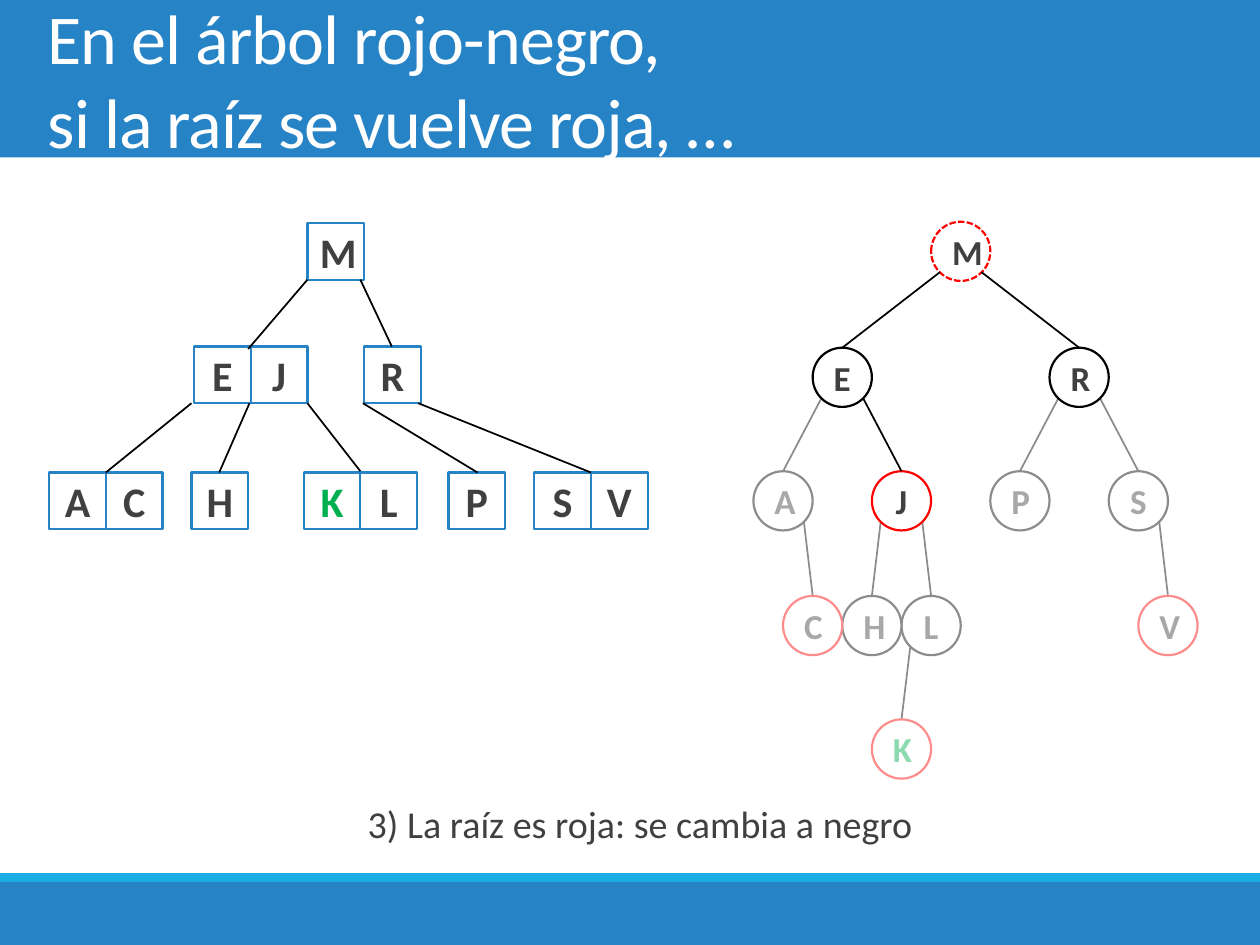
from lxml.etree import SubElement
from pptx import Presentation
from pptx.dml.color import RGBColor
from pptx.enum.dml import MSO_LINE
from pptx.enum.shapes import MSO_CONNECTOR, MSO_SHAPE
from pptx.enum.text import MSO_ANCHOR, PP_ALIGN
from pptx.oxml.ns import qn
from pptx.util import Inches, Pt

BLUE = RGBColor(0x26, 0x83, 0xC6)
CYAN = RGBColor(0x1C, 0xAD, 0xE4)
WHITE = RGBColor(0xFF, 0xFF, 0xFF)
BLACK = RGBColor(0x00, 0x00, 0x00)
GRAY = RGBColor(0x40, 0x40, 0x40)
RED = RGBColor(0xFF, 0x00, 0x00)
GREEN = RGBColor(0x00, 0xB0, 0x50)

SIDE = 0.45
DIAM = 0.47
LEFT = 5.98
ROWS = [1.76, 2.76, 3.74, 4.73, 5.71]

# Keys of each box node: left, top
BOXES = {
    "M": (2.44, 1.77),
    "EJ": (1.54, 2.75), "R": (2.89, 2.75),
    "AC": (0.39, 3.75), "H": (1.52, 3.75), "KL": (2.41, 3.75),
    "P": (3.56, 3.75), "SV": (4.24, 3.75),
}
LINKS = [
    (2.44, 2.22, 1.97, 2.77), (2.86, 2.22, 3.11, 2.75),
    (1.52, 3.2, 0.84, 3.75), (1.98, 3.2, 1.74, 3.75),
    (2.44, 3.2, 2.86, 3.74), (2.88, 3.2, 3.79, 3.75),
    (3.32, 3.2, 4.69, 3.75),
]

# Round nodes: column in half diameters, row, outline
NODES = {
    "M": (6, 0, RED), "E": (2, 1, BLACK), "R": (10, 1, BLACK),
    "A": (0, 2, BLACK), "J": (4, 2, RED), "P": (8, 2, BLACK),
    "S": (12, 2, BLACK), "C": (1, 3, RED), "H": (3, 3, BLACK),
    "L": (5, 3, BLACK), "V": (13, 3, RED), "K": (4, 4, RED),
}
FADED = ["EA", "AC", "JH", "JL", "LK", "RP", "RS", "SV"]
VIVID = ["ME", "MR", "EJ"]


class Deck:
    def __init__(self):
        self.show = Presentation()
        self.show.slide_width = Inches(10)
        self.show.slide_height = Inches(7.5)
        self.slide = self.show.slides.add_slide(self.show.slide_layouts[6])
        self.font = "Calibri"

    def shape(self, kind, x, y, w, h, fill, line=None):
        item = self.slide.shapes.add_shape(
            kind, Inches(x), Inches(y), Inches(w), Inches(h))
        item.shadow.inherit = False
        item.fill.solid()
        item.fill.fore_color.rgb = fill
        if line is None:
            item.line.fill.background()
        else:
            item.line.color.rgb = line
            item.line.width = Pt(1.25)
        return item

    def rect(self, x, y, w, h, fill):
        return self.shape(MSO_SHAPE.RECTANGLE, x, y, w, h, fill)

    def veil(self, x, y, w, h, alpha):
        """Cover an area with white of the given opacity in percent."""
        item = self.rect(x, y, w, h, WHITE)
        tint = item.fill._xPr.find(qn("a:solidFill"))[0]
        SubElement(tint, qn("a:alpha"), val=str(alpha * 1000))

    def run(self, para, text, size, color, bold=False):
        run = para.add_run()
        run.text = text
        run.font.name = self.font
        run.font.size = Pt(size)
        run.font.bold = bold
        run.font.color.rgb = color
        return run

    def label(self, item, key, size):
        frame = item.text_frame
        frame.vertical_anchor = MSO_ANCHOR.MIDDLE
        para = frame.paragraphs[0]
        para.alignment = PP_ALIGN.CENTER
        self.run(para, key, size, GREEN if key == "K" else GRAY, True)

    def box(self, key, x, y):
        item = self.shape(MSO_SHAPE.RECTANGLE, x, y, SIDE, SIDE, WHITE, BLUE)
        self.label(item, key, 24)

    def node(self, key):
        col, row, line = NODES[key]
        item = self.shape(MSO_SHAPE.OVAL, LEFT + col * DIAM / 2, ROWS[row],
                          DIAM, DIAM, WHITE, line)
        if key == "M":
            item.line.dash_style = MSO_LINE.SQUARE_DOT
        self.label(item, key, 20)

    def line(self, x1, y1, x2, y2):
        item = self.slide.shapes.add_connector(
            MSO_CONNECTOR.STRAIGHT,
            Inches(x1), Inches(y1), Inches(x2), Inches(y2))
        item.line.color.rgb = BLACK
        item.line.width = Pt(1)
        SubElement(item._element.spPr, qn("a:effectLst"))

    def edge(self, top, low):
        """Join the lower rim of one round node to the top of another."""
        col, row, _ = NODES[top]
        end, deep, _ = NODES[low]
        rim = 0.07 if end < col else DIAM - 0.07
        self.line(LEFT + col * DIAM / 2 + rim, ROWS[row] + DIAM - 0.07,
                  LEFT + (end + 1) * DIAM / 2, ROWS[deep])

    def text(self, x, y, w, h, anchor):
        item = self.slide.shapes.add_textbox(
            Inches(x), Inches(y), Inches(w), Inches(h))
        item.text_frame.word_wrap = True
        item.text_frame.vertical_anchor = anchor
        return item.text_frame.paragraphs[0]

    def title(self, *lines):
        para = self.text(0.28, 0, 9.45, 1.25, MSO_ANCHOR.MIDDLE)
        for num, line in enumerate(lines):
            if num:
                para.add_line_break()
            run = self.run(para, line, 40, WHITE)
            run.font._element.set("spc", "-50")

    def note(self, text):
        para = self.text(0.28, 6.2, 9.45, 0.57, MSO_ANCHOR.TOP)
        para.alignment = PP_ALIGN.CENTER
        para.line_spacing = 1.3
        para.space_before = Pt(12)
        para.space_after = Pt(2)
        props = para._p.get_or_add_pPr()
        props.set("marL", str(Inches(0.1)))
        props.set("indent", str(Inches(-0.1)))
        tint = SubElement(props, qn("a:buClr"))
        SubElement(tint, qn("a:srgbClr"), val=str(CYAN))
        SubElement(props, qn("a:buChar"), char=" ")
        self.run(para, text, 21.7, GRAY)


def main():
    deck = Deck()
    deck.rect(0, 0, 10, 1.25, BLUE)
    deck.rect(0, 7, 10, 0.5, BLUE)
    deck.rect(0, 6.93, 10, 0.07, CYAN)
    deck.title("En el árbol rojo-negro,", "si la raíz se vuelve roja, …")

    for pair in FADED:
        deck.edge(*pair)
    for key in "LHKCAPVS":
        deck.node(key)
    deck.veil(5.44, 1.65, 4.57, 4.75, 55)
    for key in "JMRE":
        deck.node(key)
    for pair in VIVID:
        deck.edge(*pair)

    for keys, (x, y) in BOXES.items():
        for num, key in enumerate(keys):
            deck.box(key, x + num * SIDE, y)
    for link in LINKS:
        deck.line(*link)

    deck.note("3) La raíz es roja: se cambia a negro")
    deck.show.save("out.pptx")


if __name__ == "__main__":
    main()
